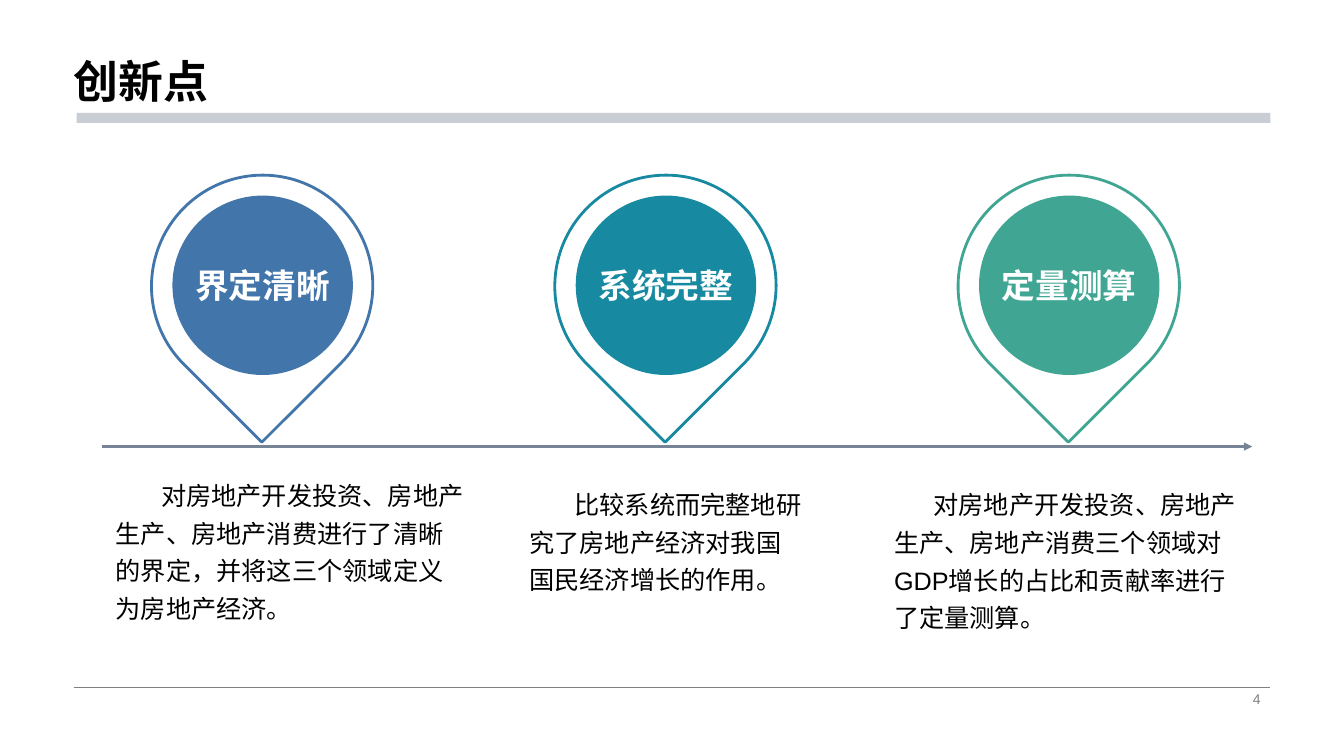
import pptx
import pptx.dml.color
import pptx.enum.shapes
import pptx.enum.text
import pptx.oxml.ns
import pptx.util
import lxml.etree

PX = 9144
MSO = pptx.enum.shapes.MSO_SHAPE
ANCHOR = pptx.enum.text.MSO_ANCHOR
ALIGN = pptx.enum.text.PP_ALIGN
AUTO = pptx.enum.text.MSO_AUTO_SIZE
qn = pptx.oxml.ns.qn


def rgb(value):
    return pptx.dml.color.RGBColor.from_string(value)


def write(shape, text, size, color, bold=False, anchor=ANCHOR.TOP, align=ALIGN.LEFT, spacing=1.0, wrap=True):
    tf = shape.text_frame
    tf.word_wrap = wrap
    tf.vertical_anchor = anchor
    p = tf.paragraphs[0]
    p.alignment = align
    p.line_spacing = spacing
    r = p.add_run()
    r.text = text
    r.font.name = "Arial"
    r.font.size = pptx.util.Pt(size)
    r.font.bold = bold
    r.font.color.rgb = rgb(color)
    return tf


prs = pptx.Presentation()
prs.slide_width = 1333 * PX
prs.slide_height = 750 * PX
s = prs.slides.add_slide(prs.slide_layouts[6])

bar = s.shapes.add_shape(MSO.RECTANGLE, 76 * PX, 112 * PX, 1184 * PX, 10 * PX)
bar.shadow.inherit = False
bar.fill.solid()
bar.fill.fore_color.rgb = rgb("C9CED5")
bar.line.fill.background()

title = s.shapes.add_textbox(73 * PX, 0, 1187 * PX, 112 * PX)
tf = write(title, "创新点", 32, "000000", bold=True, anchor=ANCHOR.BOTTOM, spacing=0.9)
tf.margin_left = tf.margin_right = 0

number = s.shapes.add_textbox(942 * PX, 682 * PX, 318 * PX, 23 * PX)
write(number, "4", 10, "808080", anchor=ANCHOR.MIDDLE, align=ALIGN.RIGHT)

rules = [
    (73, 1260, 682, "808080", 0.5, False),
    (101, 1242, 443, "778495", 1.5, True),
]
for left, right, y, color, width, arrow in rules:
    line = s.shapes.add_connector(
        pptx.enum.shapes.MSO_CONNECTOR.STRAIGHT, left * PX, y * PX, right * PX, y * PX)
    line.line.color.rgb = rgb(color)
    line.line.width = pptx.util.Pt(width)
    if arrow:
        lxml.etree.SubElement(line.line._get_or_add_ln(), qn("a:tailEnd"), type="triangle")
    lxml.etree.SubElement(line._element.spPr, qn("a:effectLst"))

pins = [("界定清晰", "4276AA"), ("系统完整", "178AA1"), ("定量测算", "40A693")]
for i, (label, color) in enumerate(pins):
    x = 150 + 400 * i
    drop = s.shapes.add_shape(MSO.TEAR, x * PX, 174 * PX, 220 * PX, 219 * PX)
    drop.rotation = 135
    drop.shadow.inherit = False
    drop.fill.solid()
    drop.fill.fore_color.rgb = rgb("FFFFFF")
    drop.line.color.rgb = rgb(color)
    drop.line.width = pptx.util.Pt(2)

    disc = s.shapes.add_shape(MSO.OVAL, (x + 21) * PX, 194 * PX, 179 * PX, 178 * PX)
    disc.shadow.inherit = False
    disc.fill.solid()
    disc.fill.fore_color.rgb = rgb(color)
    disc.line.fill.background()
    write(disc, label, 24, "FFFFFF", bold=True, anchor=ANCHOR.MIDDLE, align=ALIGN.CENTER, wrap=False)

notes = [
    (105, 464, 367, 158, 45, "对房地产开发投资、房地产生产、房地产消费进行了清晰的界定，并将这三个领域定义为房地产经济。"),
    (515, 473, 291, 120, 45, "比较系统而完整地研究了房地产经济对我国国民经济增长的作用。"),
    (877, 473, 367, 158, 39, "对房地产开发投资、房地产生产、房地产消费三个领域对GDP增长的占比和贡献率进行了定量测算。"),
]
for left, top, width, height, indent, text in notes:
    note = s.shapes.add_textbox(left * PX, top * PX, width * PX, height * PX)
    tf = write(note, text, 18, "000000", spacing=1.25)
    tf.auto_size = AUTO.SHAPE_TO_FIT_TEXT
    pPr = tf.paragraphs[0]._p.get_or_add_pPr()
    pPr.set("marL", "0")
    pPr.set("indent", str(indent * PX))

prs.save("out.pptx")
